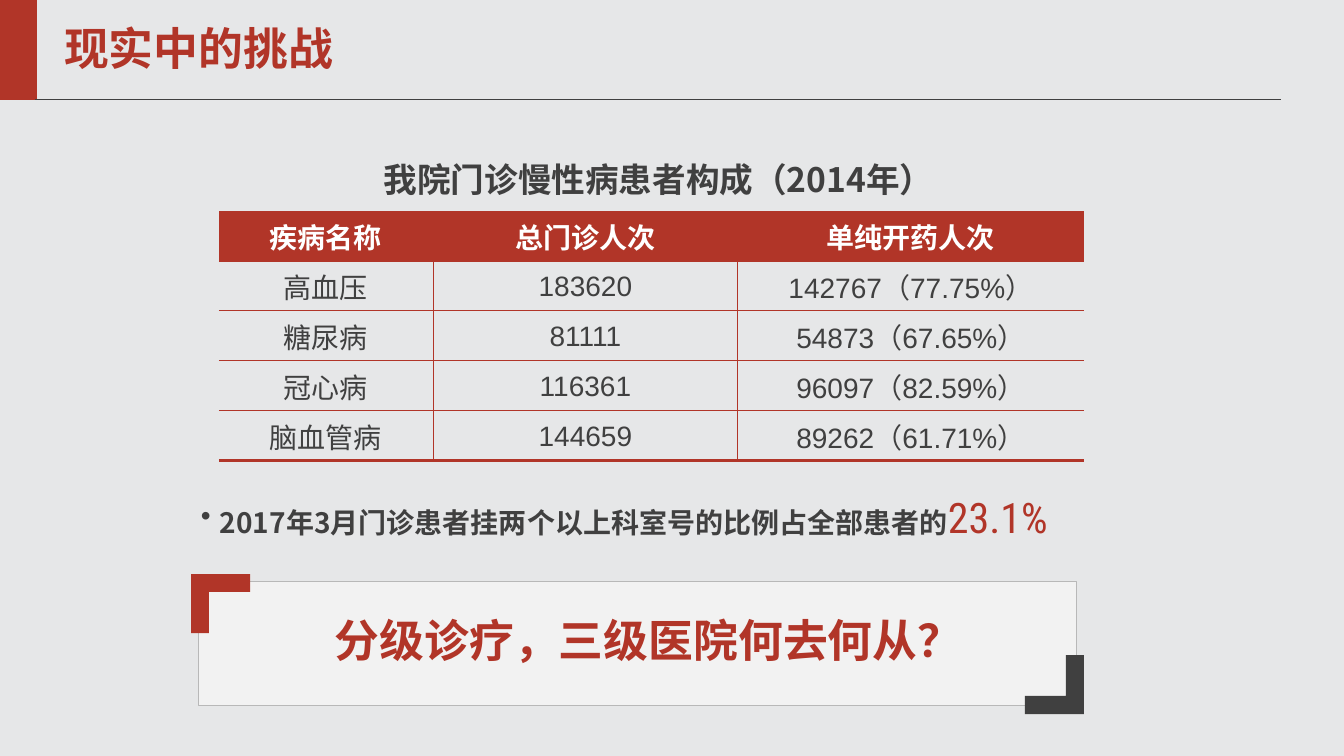
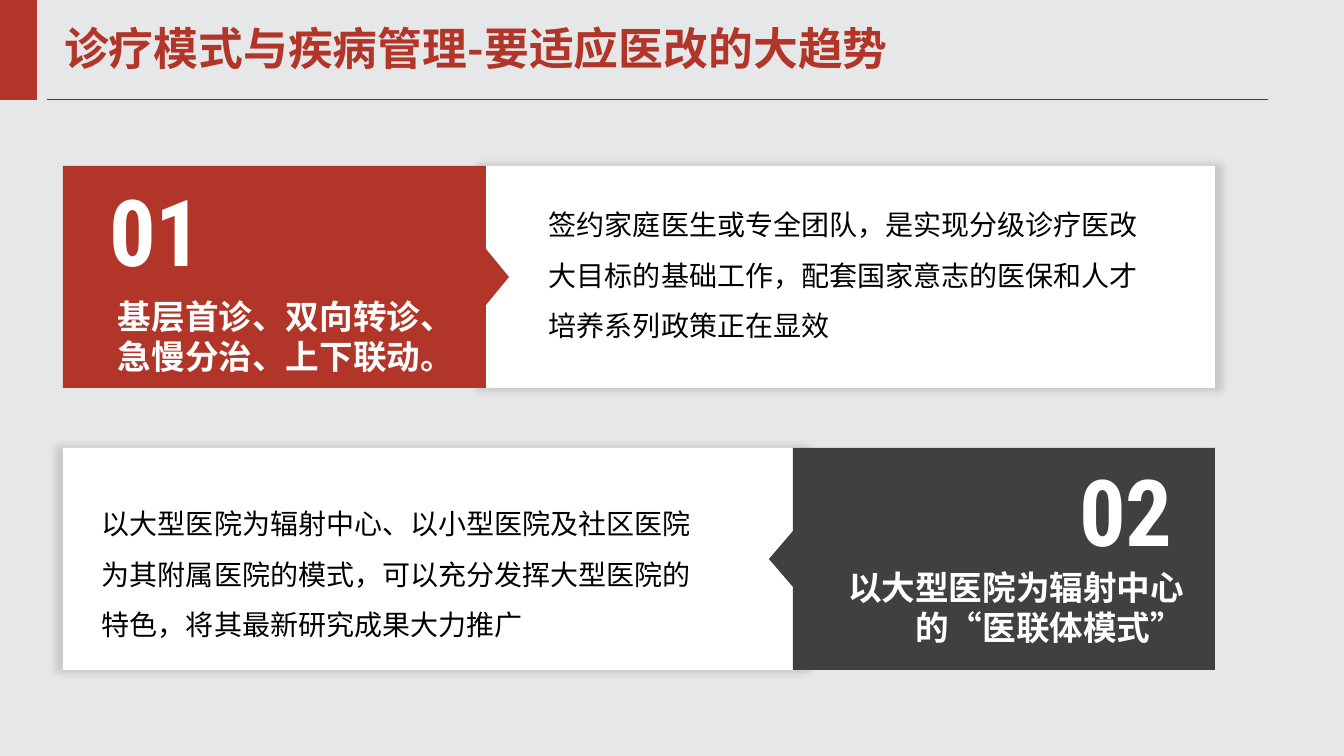
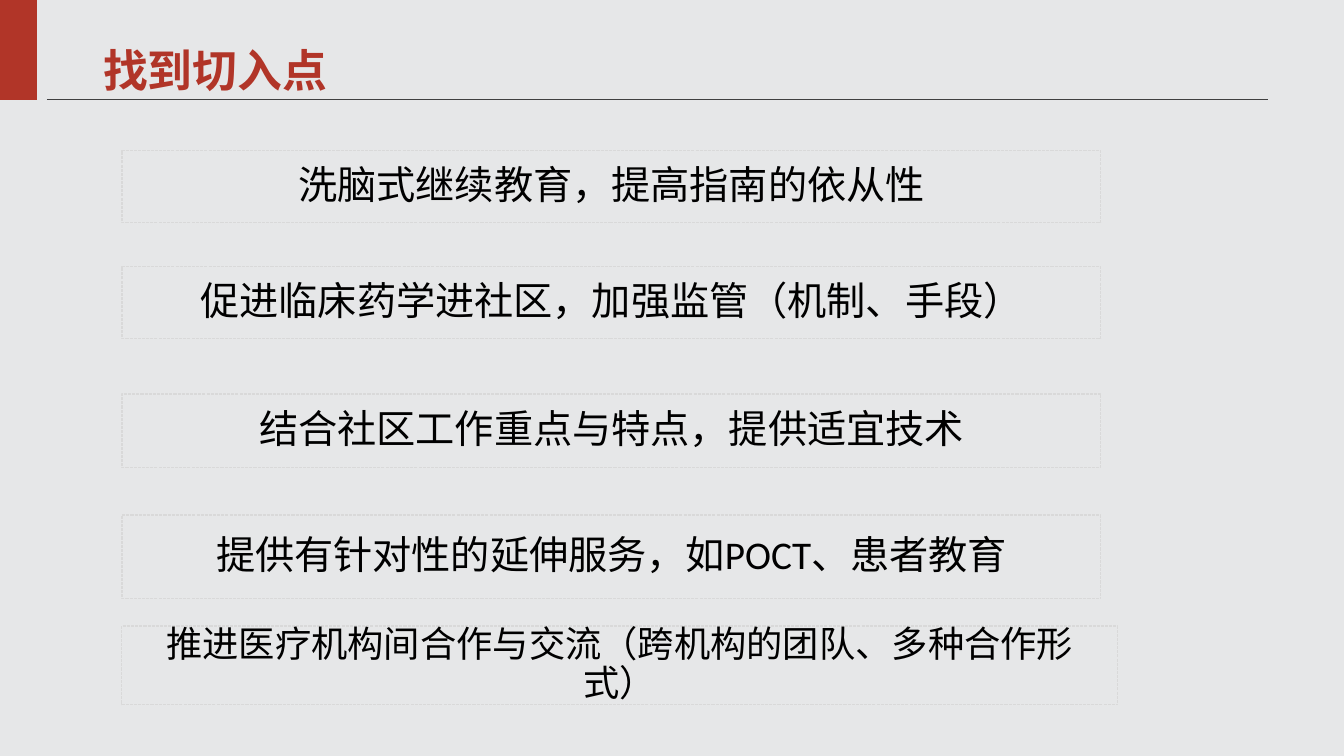
from lxml import etree
from pptx import Presentation
from pptx.dml.color import RGBColor
from pptx.enum.dml import MSO_LINE
from pptx.enum.shapes import MSO_CONNECTOR, MSO_SHAPE
from pptx.enum.text import MSO_ANCHOR, MSO_AUTO_SIZE, PP_ALIGN
from pptx.oxml.ns import qn
from pptx.util import Emu, Pt

PX = 914400 / 100.8
COLORS = {
    "red": "B13528", "dark": "404040", "page": "E6E7E8", "white": "FFFFFF",
    "black": "000000", "callout": "F2F2F2", "callout_edge": "B8B8B8",
    "box_edge": "D9D9D9",
}
RGB = {name: RGBColor.from_string(value) for name, value in COLORS.items()}
SANS, NUMERALS = "Noto Sans CJK SC", "Roboto Condensed"


def write(paragraph, text, size, color, bold=False, font=SANS):
    """Add one run, with the Chinese glyphs always in the sans face."""
    run = paragraph.add_run()
    run.text = text
    values = {"size": Pt(size), "bold": bold, "name": font}
    for name, value in values.items():
        setattr(run.font, name, value)
    run.font.color.rgb = RGB[color]
    properties = run._r.get_or_add_rPr()
    properties.set("lang", "zh-CN")
    etree.SubElement(properties, qn("a:ea"), typeface=SANS)


def paint(shape, fill=None, line=None):
    """Give a shape a flat fill and a thin outline, or none of either."""
    if fill:
        shape.fill.solid()
        shape.fill.fore_color.rgb = RGB[fill]
    else:
        shape.fill.background()
    if line:
        shape.line.color.rgb = RGB[line]
        shape.line.width = Pt(0.75)
    else:
        shape.line.fill.background()
    shape.shadow.inherit = False


prs = Presentation()
prs.slide_width, prs.slide_height = Emu(round(1344 * PX)), Emu(round(756 * PX))
background = prs.slide_master.background.fill
background.solid()
background.fore_color.rgb = RGB["page"]

# Title, red band and rule of every slide
slides = []
for title_text, title_box, rule_left, rule_right in (
    ("现实中的挑战", (54, 16, 1214, 69), 35, 1281),
    ("诊疗模式与疾病管理-要适应医改的大趋势", (54, 16, 1214, 69), 47, 1268),
    ("找到切入点", (93, 40, 1159, 66), 47, 1268),
):
    slide = prs.slides.add_slide(prs.slide_layouts[5])
    slides.append(slide)
    title = slide.shapes.title
    for name, value in zip(("left", "top", "width", "height"), title_box):
        setattr(title, name, Emu(round(value * PX)))
    title_format = {"auto_size": MSO_AUTO_SIZE.NONE, "word_wrap": True,
                    "vertical_anchor": MSO_ANCHOR.MIDDLE}
    for name, value in title_format.items():
        setattr(title.text_frame, name, value)
    heading = title.text_frame.paragraphs[0]
    heading.alignment, heading.line_spacing = PP_ALIGN.LEFT, 0.9
    write(heading, title_text, 32, "red", bold=True)

    band = slide.shapes.add_shape(
        MSO_SHAPE.RECTANGLE, 0, 0, *(Emu(round(v * PX)) for v in (37, 100)))
    paint(band, "red")
    rule = slide.shapes.add_connector(
        MSO_CONNECTOR.STRAIGHT,
        *(Emu(round(v * PX)) for v in (rule_left, 99, rule_right, 99)))
    rule.line.color.rgb = RGB["dark"]
    rule.line.width = Pt(0.5)
    etree.SubElement(rule._element.spPr, qn("a:effectLst"))

challenges, models, entry_points = slides

# Slide 1: outpatient table
visits = (
    ("疾病名称", "总门诊人次", "单纯开药人次"),
    ("高血压", "183620", "142767（77.75%）"),
    ("糖尿病", "81111", "54873（67.65%）"),
    ("冠心病", "116361", "96097（82.59%）"),
    ("脑血管病", "144659", "89262（61.71%）"),
)
last_row, last_column = len(visits) - 1, len(visits[0]) - 1
table = challenges.shapes.add_table(
    len(visits), len(visits[0]),
    *(Emu(round(v * PX)) for v in (219, 211, 865, 250))).table
table.first_row = table.horz_banding = False
for column, width in zip(table.columns, (214, 305, 346)):
    column.width = Emu(round(width * PX))
for row_index, row in enumerate(visits):
    table.rows[row_index].height = Emu(round(50 * PX))
    for column_index, text in enumerate(row):
        cell = table.cell(row_index, column_index)
        cell_format = {"vertical_anchor": MSO_ANCHOR.MIDDLE, "margin_bottom": 0,
                       "margin_left": Emu(round(PX)), "margin_top": Emu(round(PX)),
                       "margin_right": Emu(round(PX))}
        for name, value in cell_format.items():
            setattr(cell, name, value)
        entry = cell.text_frame.paragraphs[0]
        entry.alignment = PP_ALIGN.CENTER
        is_header = row_index == 0
        write(entry, text, 20, "white" if is_header else "dark", is_header,
              SANS if is_header or column_index == 0 else "Arial")
        borders = {
            "a:lnL": 0.75 if column_index else 0,
            "a:lnR": 0.75 if column_index < last_column else 0,
            "a:lnT": 0.75 if row_index else 0,
            "a:lnB": 2.25 if row_index == last_row else 0.75,
        }
        for tag, width in borders.items():
            border = etree.SubElement(
                cell._tc.get_or_add_tcPr(), qn(tag), w=str(Pt(width)))
            if width:
                border_fill = etree.SubElement(border, qn("a:solidFill"))
                etree.SubElement(border_fill, qn("a:srgbClr"), val=COLORS["red"])
            else:
                etree.SubElement(border, qn("a:noFill"))
        if is_header:
            cell.fill.solid()
            cell.fill.fore_color.rgb = RGB["red"]
        else:
            cell.fill.background()

# Slide 1: bulleted share of patients
share = challenges.shapes.add_textbox(
    *(Emu(round(v * PX)) for v in (191, 461, 919, 87))).text_frame
share.word_wrap = True
finding = share.paragraphs[0]
finding.line_spacing = 1.5
bullet_indent = round(19 * PX)
finding_properties = finding._p.get_or_add_pPr()
finding_properties.set("marL", str(bullet_indent))
finding_properties.set("indent", str(-bullet_indent))
etree.SubElement(finding_properties, qn("a:buFont"), typeface="Arial")
etree.SubElement(finding_properties, qn("a:buChar"), char="•")
write(finding, "2017年3月门诊患者挂两个以上科室号的比例占全部患者的", 20, "dark", bold=True)
write(finding, "23.1%", 30, "red", font=NUMERALS)

# Slide 1: callout with two corner brackets
callout = challenges.shapes.add_shape(
    MSO_SHAPE.RECTANGLE, *(Emu(round(v * PX)) for v in (199, 582, 878, 124)))
paint(callout, "callout", "callout_edge")
arm, thickness = 59, 18
for x, y, direction, color in ((191, 574, 1, "red"), (1084, 714, -1, "dark")):
    long, short = direction * arm, direction * thickness
    outline = challenges.shapes.build_freeform(x, y, scale=PX)
    outline.add_line_segments([
        (x + long, y), (x + long, y + short), (x + short, y + short),
        (x + short, y + long), (x, y + long)])
    paint(outline.convert_to_shape(), color)

# Slide 2: white cards, each with a coloured panel that points into it
panel_height = 222
for card_left, card_width, top, outer, inner, tip, color in (
    (484, 731, 166, 63, 486, 509, "red"),
    (63, 738, 448, 1215, 793, 769, "dark"),
):
    card = models.shapes.add_shape(
        MSO_SHAPE.RECTANGLE,
        *(Emu(round(v * PX)) for v in (card_left, top, card_width, panel_height)))
    paint(card, "white")
    shadow = etree.SubElement(
        card._element.spPr.find(qn("a:effectLst")), qn("a:outerShdw"),
        blurRad=str(Pt(5)), sx="102000", sy="102000", algn="ctr", rotWithShape="0")
    shadow_color = etree.SubElement(shadow, qn("a:srgbClr"), val=COLORS["black"])
    etree.SubElement(shadow_color, qn("a:alpha"), val="12000")

    middle, bottom = top + panel_height // 2, top + panel_height
    outline = models.shapes.build_freeform(outer, top, scale=PX)
    outline.add_line_segments([
        (inner, top), (inner, middle - 28), (tip, middle),
        (inner, middle + 28), (inner, bottom), (outer, bottom)])
    paint(outline.convert_to_shape(), color)

# Text boxes of slides 1 and 2
headline = {"size": 24, "color": "white", "bold": True}
number = {"size": 66, "color": "white", "bold": True, "font": NUMERALS}
body = {"size": 20, "color": "black"}
LEFT, CENTER, RIGHT = PP_ALIGN.LEFT, PP_ALIGN.CENTER, PP_ALIGN.RIGHT
for slide, box, text, run_format, alignment, spacing in (
    (challenges, (345, 154, 627, 50), "我院门诊慢性病患者构成（2014年）",
     {"size": 24, "color": "dark", "bold": True}, CENTER, 1.0),
    (challenges, (325, 608, 617, 64), "分级诊疗，三级医院何去何从？",
     {"size": 32, "color": "red", "bold": True}, LEFT, 1.0),
    (models, (68, 169, 176, 122), "01", number, CENTER, 1.0),
    (models, (108, 291, 358, 92), "基层首诊、双向转诊、\n急慢分治、上下联动。",
     headline, LEFT, 1.0),
    (models, (539, 186, 636, 157),
     "签约家庭医生或专全团队，是实现分级诊疗医改大目标的基础工作，"
     "配套国家意志的医保和人才培养系列政策正在显效", body, LEFT, 1.5),
    (models, (1038, 449, 176, 122), "02", number, CENTER, 1.0),
    (models, (802, 562, 392, 92), "以大型医院为辐射中心的“医联体模式”",
     headline, RIGHT, 1.0),
    (models, (92, 485, 636, 157),
     "以大型医院为辐射中心、以小型医院及社区医院为其附属医院的模式，"
     "可以充分发挥大型医院的特色，将其最新研究成果大力推广", body, LEFT, 1.5),
):
    frame = slide.shapes.add_textbox(
        *(Emu(round(v * PX)) for v in box)).text_frame
    frame.word_wrap = True
    for index, line in enumerate(text.split("\n")):
        paragraph = frame.add_paragraph() if index else frame.paragraphs[0]
        paragraph.alignment, paragraph.line_spacing = alignment, spacing
        write(paragraph, line, **run_format)

# Slide 3: five dashed boxes
for top, width, height, size, text in (
    (151, 979, 72, 28, "洗脑式继续教育，提高指南的依从性"),
    (267, 979, 72, 28, "促进临床药学进社区，加强监管（机制、手段）"),
    (394, 979, 74, 28, "结合社区工作重点与特点，提供适宜技术"),
    (515, 979, 84, 28, "提供有针对性的延伸服务，如POCT、患者教育"),
    (626, 996, 79, 25.9, "推进医疗机构间合作与交流（跨机构的团队、多种合作形式）"),
):
    measure = entry_points.shapes.add_shape(
        MSO_SHAPE.RECTANGLE,
        *(Emu(round(v * PX)) for v in (122, top, width, height)))
    paint(measure, line="box_edge")
    measure.line.dash_style = MSO_LINE.SQUARE_DOT
    measure.text_frame.word_wrap = True
    measure.text_frame.vertical_anchor = MSO_ANCHOR.MIDDLE
    paragraph = measure.text_frame.paragraphs[0]
    paragraph.alignment, paragraph.line_spacing = CENTER, 0.9
    write(paragraph, text, size, "black", font="Calibri")

prs.save("out.pptx")
